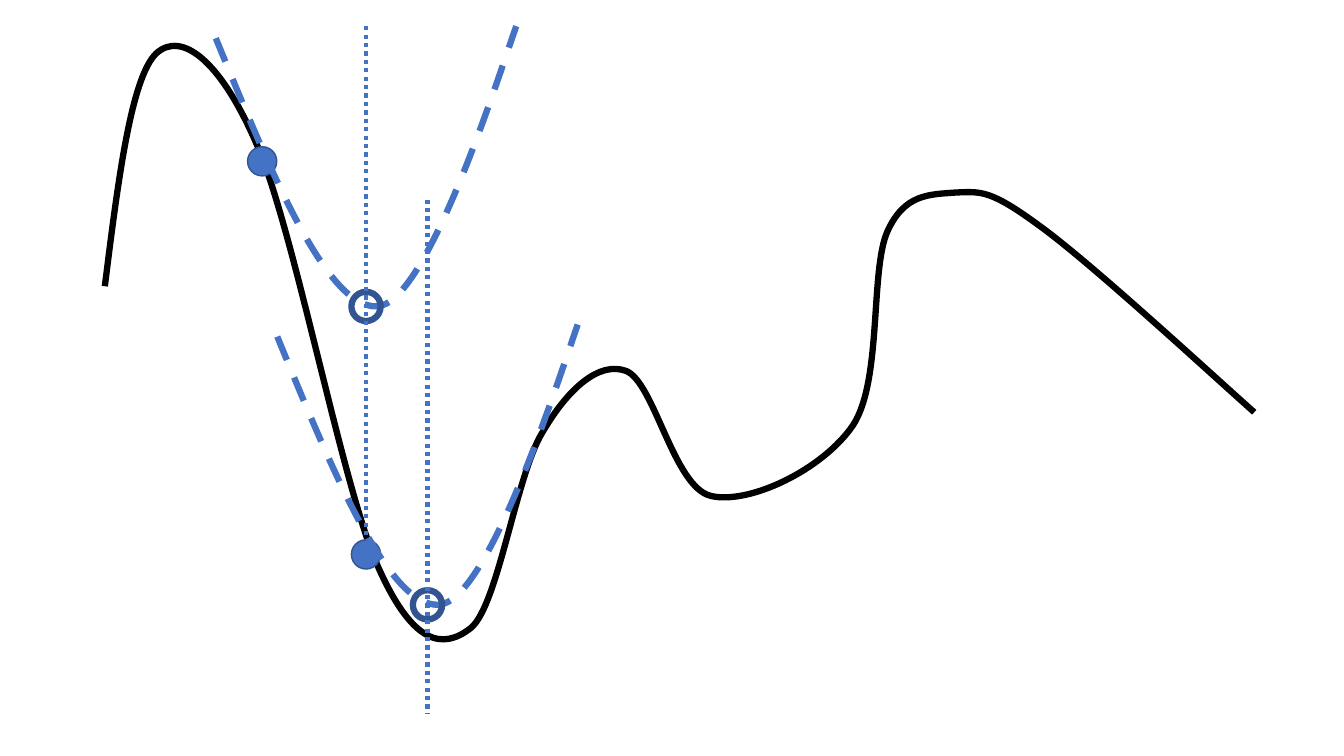
from dataclasses import dataclass
from typing import Any, NamedTuple, Optional

import pptx
import pptx.dml.color
import pptx.enum.dml
import pptx.enum.shapes
import pptx.oxml
import pptx.oxml.ns
import pptx.util

Inches = pptx.util.Inches
Dash = pptx.enum.dml.MSO_LINE


class Point(NamedTuple):
    x: float
    y: float


@dataclass(frozen=True)
class Theme:
    background: str = "FFFFFF"
    curve: str = "000000"
    accent: str = "4472C4"
    outline: str = "325491"
    thick: float = 4.5
    guide: float = 3
    thin: float = 1
    marker: float = 0.29


@dataclass(frozen=True)
class NewtonStep:
    iterate: Point
    minimum: Point
    parabola_shift: Point
    guide_top: float
    guide_bottom: float


THEME = Theme()

OBJECTIVE = [Point(*pair) for pair in (
    (1.04, 2.84),
    (1.17, 1.8), (1.3, 0.77), (1.55, 0.53),
    (1.8, 0.3), (2.19, 0.6), (2.55, 1.44),
    (2.92, 2.29), (3.39, 4.8), (3.74, 5.6),
    (4.09, 6.4), (4.39, 6.45), (4.67, 6.23),
    (4.94, 6.01), (5.12, 4.71), (5.38, 4.29),
    (5.63, 3.86), (5.94, 3.58), (6.21, 3.68),
    (6.49, 3.79), (6.68, 4.83), (7.05, 4.92),
    (7.43, 5.01), (8.16, 4.66), (8.46, 4.22),
    (8.75, 3.78), (8.63, 2.69), (8.8, 2.3),
    (8.97, 1.92), (9.22, 1.93), (9.48, 1.91),
    (9.73, 1.9), (9.82, 1.88), (10.31, 2.24),
    (10.81, 2.6), (11.98, 3.68), (12.44, 4.09),
)]

PARABOLA = [Point(*pair) for pair in (
    (2.14, 0.38),
    (2.69, 1.72), (3.24, 3.06), (3.74, 3.04),
    (4.23, 3.02), (4.93, 0.8), (5.12, 0.26),
)]

STEPS = [
    NewtonStep(Point(2.6, 1.6), Point(3.63, 3.04), Point(0, 0), 0.26, 5.36),
    NewtonStep(Point(3.63, 5.5), Point(4.24, 6), Point(0.61, 2.96), 1.98, 7.08),
]


def rgb(value: str) -> pptx.dml.color.RGBColor:
    return pptx.dml.color.RGBColor.from_string(value)


def format_line(shape: Any, color: str, width: float, dash: Optional[Any] = None) -> None:
    shape.line.color.rgb = rgb(color)
    shape.line.width = pptx.util.Pt(width)
    if dash is not None:
        shape.line.dash_style = dash


def draw_curve(shapes: Any, points: list[Point], color: str, dash: Optional[Any] = None) -> None:
    start, *rest = [(Inches(point.x), Inches(point.y)) for point in points]
    builder = shapes.build_freeform(*start)
    builder.add_line_segments(rest, close=False)
    curve = builder.convert_to_shape()
    curve.shadow.inherit = False
    curve.fill.background()
    format_line(curve, color, THEME.thick, dash)

    segments = list(curve.element.iter(pptx.oxml.ns.qn("a:lnTo")))
    outline = segments[0].getparent()
    for first in range(0, len(segments), 3):
        bezier = pptx.oxml.parse_xml(f"<a:cubicBezTo {pptx.oxml.ns.nsdecls('a')}/>")
        outline.insert(outline.index(segments[first]), bezier)
        for segment in segments[first:first + 3]:
            bezier.append(segment[0])
            outline.remove(segment)


def draw_marker(shapes: Any, center: Point, width: float, fill: Optional[str] = None) -> Any:
    size = THEME.marker
    marker = shapes.add_shape(
        pptx.enum.shapes.MSO_SHAPE.OVAL,
        Inches(center.x - size / 2), Inches(center.y - size / 2), Inches(size), Inches(size),
    )
    marker.shadow.inherit = False
    if fill is None:
        marker.fill.background()
    else:
        marker.fill.solid()
        marker.fill.fore_color.rgb = rgb(fill)
    format_line(marker, THEME.outline, width)
    return marker


def draw_guide(shapes: Any, x: float, top: float, bottom: float) -> Any:
    guide = shapes.add_connector(
        pptx.enum.shapes.MSO_CONNECTOR.STRAIGHT,
        Inches(x), Inches(top), Inches(x), Inches(bottom),
    )
    format_line(guide, THEME.accent, THEME.guide, Dash.ROUND_DOT)
    guide.element.spPr.append(
        pptx.oxml.parse_xml(f"<a:effectLst {pptx.oxml.ns.nsdecls('a')}/>")
    )
    return guide


def main() -> None:
    deck = pptx.Presentation()
    deck.slide_width, deck.slide_height = Inches(13.33), Inches(7.5)
    page = deck.slides.add_slide(deck.slide_layouts[6])
    page.background.fill.solid()
    page.background.fill.fore_color.rgb = rgb(THEME.background)

    draw_curve(page.shapes, OBJECTIVE, THEME.curve)
    guide = None
    for step in STEPS:
        dot = draw_marker(page.shapes, step.iterate, THEME.thin, THEME.accent)
        if guide is not None:
            guide.end_connect(dot, 0)
        model = page.shapes.add_group_shape()
        shift = step.parabola_shift
        parabola = [Point(point.x + shift.x, point.y + shift.y) for point in PARABOLA]
        draw_curve(model.shapes, parabola, THEME.accent, Dash.DASH)
        draw_marker(model.shapes, step.minimum, THEME.thick)
        guide = draw_guide(page.shapes, step.minimum.x, step.guide_top, step.guide_bottom)

    deck.save("out.pptx")


if __name__ == "__main__":
    main()
